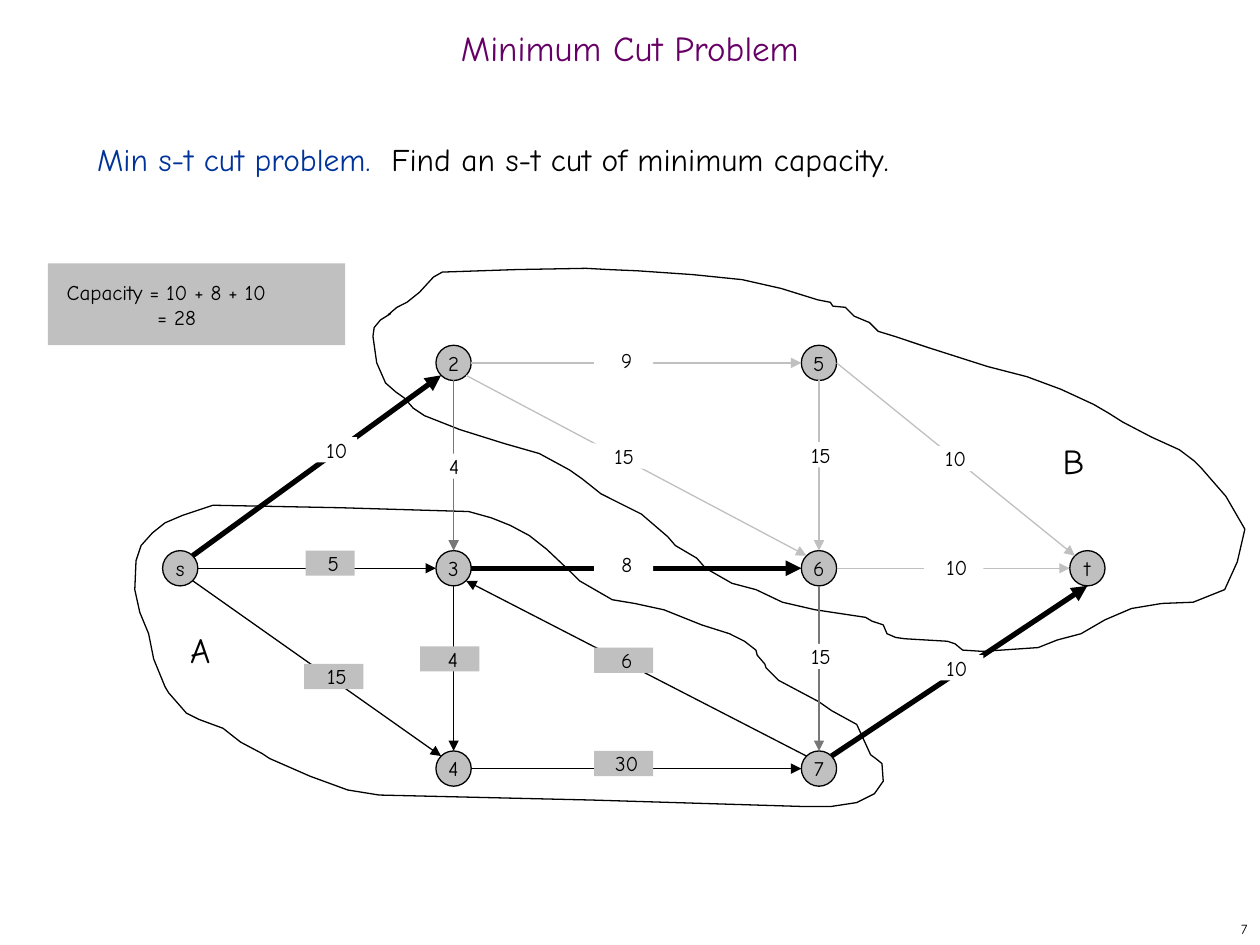
"""Build the minimum cut slide: a flow network split into the vertex sets A and B."""
from lxml.etree import SubElement
from pptx import Presentation
from pptx.dml.color import RGBColor
from pptx.enum.shapes import MSO_CONNECTOR, MSO_SHAPE
from pptx.enum.text import MSO_ANCHOR, MSO_AUTO_SIZE, PP_ALIGN
from pptx.oxml.ns import qn
from pptx.util import Inches, Pt

BLACK, GRAY, DARK_GRAY, WHITE = "000000", "C0C0C0", "777777", "FFFFFF"


def paint(shape, fill, line=None):
    shape.shadow.inherit = False
    shape.fill.solid()
    shape.fill.fore_color.rgb = RGBColor.from_string(fill)
    if line:
        shape.line.color.rgb = RGBColor.from_string(line)
        shape.line.width = Pt(0.75)
    else:
        shape.line.fill.background()


def write(shape, text, size, color=BLACK, align=PP_ALIGN.CENTER,
          anchor=MSO_ANCHOR.MIDDLE, margins=(0, 0, 0, 0), wrap=True):
    frame = shape.text_frame
    frame.word_wrap = wrap
    frame.auto_size = MSO_AUTO_SIZE.NONE
    frame.vertical_anchor = anchor
    (frame.margin_left, frame.margin_top,
     frame.margin_right, frame.margin_bottom) = [Inches(m) for m in margins]
    frame.text = text
    paragraph = frame.paragraphs[0]
    paragraph.alignment = align
    paragraph.space_before = Pt(0)
    paragraph.font.size = Pt(size)
    paragraph.font.name = "Comic Neue"
    paragraph.font.color.rgb = RGBColor.from_string(color)
    return paragraph


presentation = Presentation()
presentation.slide_width, presentation.slide_height = Inches(10), Inches(7.5)
slide = presentation.slides.add_slide(presentation.slide_layouts[1])
shapes = slide.shapes
text_margins = (0.1, 0.05, 0.1, 0.05)

title = shapes.title
title.left, title.top, title.width, title.height = [Inches(v) for v in (0, 0.17, 10, 0.5)]
write(title, "Minimum Cut Problem", 20, "660066", margins=text_margins).line_spacing = 0.7

body = slide.placeholders[1]
body.left, body.top, body.width, body.height = [Inches(v) for v in (0.67, 1, 8.58, 5.92)]
paragraph = write(body, "Min s-t cut problem.  ", 18, BLACK, PP_ALIGN.LEFT, MSO_ANCHOR.TOP, text_margins)
paragraph.line_spacing = Pt(26)
paragraph.runs[0].font.color.rgb = RGBColor.from_string("003399")
paragraph.add_run().text = "Find an s-t cut of minimum capacity."
properties = paragraph._p.get_or_add_pPr()
properties.set("marL", "0")
properties.set("indent", "0")
properties.insert_element_before(properties.makeelement(qn("a:buNone"), {}), "a:tabLst", "a:defRPr")

region_b = [
    (6.49, 2.38), (6.2, 2.29), (5.89, 2.22), (5.5, 2.18), (5.06, 2.15), (4.83, 2.14), (4.65, 2.13),
    (4.1, 2.14), (3.51, 2.16), (3.44, 2.2), (3.33, 2.32), (3.23, 2.4), (3.15, 2.44), (3.08, 2.5),
    (3.1, 2.49), (3.02, 2.54), (2.97, 2.6), (2.96, 2.67), (2.99, 2.88), (3.06, 3.04), (3.14, 3.11),
    (3.21, 3.16), (3.28, 3.24), (3.37, 3.3), (3.65, 3.41), (4, 3.52), (4.28, 3.6), (4.52, 3.73),
    (4.62, 3.8), (4.77, 3.92), (5.09, 4.08), (5.3, 4.26), (5.36, 4.33), (5.53, 4.43), (5.6, 4.51),
    (5.81, 4.63), (6, 4.68), (6.21, 4.78), (6.47, 4.84), (6.87, 4.9), (6.92, 4.93), (7.01, 4.96),
    (7.04, 5.03), (7.11, 5.06), (7.18, 5.07), (7.52, 5.09), (7.58, 5.11), (7.64, 5.16), (7.8, 5.17),
    (8.24, 5.14), (8.39, 5.08), (8.58, 5.03), (8.77, 4.92), (8.98, 4.83), (9.22, 4.79), (9.47, 4.78),
    (9.72, 4.68), (9.82, 4.46), (9.88, 4.2), (9.73, 3.94), (9.53, 3.71), (9.48, 3.66), (9.36, 3.57),
    (9.14, 3.47), (8.91, 3.35), (8.8, 3.28), (8.68, 3.21), (8.42, 3.09), (8.15, 2.99), (7.84, 2.91),
    (7.37, 2.76), (7.1, 2.67), (6.97, 2.63), (6.9, 2.56), (6.78, 2.51), (6.71, 2.44), (6.61, 2.43),
    (6.59, 2.4)]
region_a = [
    (6.08, 5.3), (6.18, 5.4), (6.5, 5.57), (6.6, 5.64), (6.8, 5.75), (6.91, 5.99), (6.95, 6.02),
    (7, 6.06), (7.01, 6.2), (6.94, 6.3), (6.8, 6.37), (6.6, 6.4), (6.35, 6.4), (4.7, 6.35), (3.01, 6.31),
    (2.76, 6.27), (2.46, 6.16), (2.14, 6.02), (2.08, 5.98), (1.91, 5.89), (1.77, 5.78), (1.58, 5.71),
    (1.48, 5.66), (1.34, 5.5), (1.31, 5.45), (1.22, 5.23), (1.18, 5.03), (1.11, 4.86), (1.07, 4.68),
    (1.08, 4.45), (1.12, 4.33), (1.21, 4.23), (1.31, 4.15), (1.45, 4.09), (1.69, 4.01), (2.7, 4.03),
    (3.72, 4.06), (3.9, 4.11), (4.05, 4.17), (4.2, 4.25), (4.34, 4.36), (4.53, 4.54), (4.6, 4.61),
    (4.86, 4.76), (5.04, 4.79), (5.27, 4.84), (5.57, 4.96), (5.79, 5.03), (5.91, 5.09), (6, 5.16),
    (6.01, 5.2), (6.07, 5.27)]
for outline in (region_b, region_a):
    corners = [(Inches(x), Inches(y)) for x, y in outline]
    builder = shapes.build_freeform(*corners[0], scale=1.0)
    builder.add_line_segments(corners[1:], close=True)
    paint(builder.convert_to_shape(), WHITE, BLACK)

columns, rows, radius = (1.43, 3.6, 6.5, 8.63), (2.88, 4.51, 6.1), 0.14
nodes = {"s": (0, 1), "2": (1, 0), "3": (1, 1), "4": (1, 2),
         "5": (2, 0), "6": (2, 1), "7": (2, 2), "t": (3, 1)}
for name, (column, row) in nodes.items():
    node = shapes.add_shape(MSO_SHAPE.OVAL, Inches(columns[column] - radius), Inches(rows[row] - radius),
                            Inches(2 * radius), Inches(2 * radius))
    paint(node, GRAY, BLACK)
    write(node, name, 12, margins=text_margins, wrap=False)

compass = {"N": (0, -1), "S": (0, 1), "E": (1, 0), "W": (-1, 0),
           "NE": (0.71, -0.71), "SE": (0.71, 0.71), "NW": (-0.71, -0.71), "SW": (-0.71, 0.71)}
edges = [
    ("s", "NE", "2", "SW", BLACK, 3), ("s", "E", "3", "W", BLACK, 0.75),
    ("s", "SE", "4", "NW", BLACK, 0.75), ("3", "E", "6", "W", BLACK, 3),
    ("7", "NW", "3", "SE", BLACK, 0.75), ("3", "S", "4", "N", BLACK, 0.75),
    ("2", "E", "5", "W", GRAY, 0.75), ("4", "E", "7", "W", BLACK, 0.75),
    ("2", "S", "3", "N", DARK_GRAY, 0.75), ("6", "S", "7", "N", DARK_GRAY, 0.75),
    ("5", "S", "6", "N", GRAY, 0.75), ("2", "SE", "6", "NW", GRAY, 0.75),
    ("5", "E", "t", "NW", GRAY, 0.75), ("6", "E", "t", "W", GRAY, 0.75),
    ("7", "NE", "t", "S", BLACK, 3)]
for start, start_side, end, end_side, color, width in edges:
    ends = []
    for name, side in ((start, start_side), (end, end_side)):
        column, row = nodes[name]
        ends += [Inches(columns[column] + radius * compass[side][0]),
                 Inches(rows[row] + radius * compass[side][1])]
    edge = shapes.add_connector(MSO_CONNECTOR.STRAIGHT, *ends)
    edge.line.color.rgb = RGBColor.from_string(color)
    edge.line.width = Pt(width)
    SubElement(edge.line._get_or_add_ln(), qn("a:tailEnd"), type="triangle")
    SubElement(edge._element.spPr, qn("a:effectLst"))

capacities = [
    ("15", 2.65, 5.37, GRAY, 0.47, 0.05), ("5", 2.62, 4.47, GRAY, 0.39, 0.05),
    ("30", 4.95, 6.06, GRAY, 0.47, 0.05), ("15", 6.49, 5.21, WHITE, 0.47, 0.05),
    ("10", 2.6, 3.57, WHITE, 0.47, 0.15), ("8", 4.95, 4.48, WHITE, 0.47, 0.05),
    ("15", 4.93, 3.62, WHITE, 0.47, 0.05), ("9", 4.95, 2.86, WHITE, 0.47, 0.05),
    ("6", 4.95, 5.24, GRAY, 0.47, 0.05), ("10", 7.57, 5.3, WHITE, 0.47, 0.05),
    ("10", 7.57, 4.5, WHITE, 0.47, 0.05), ("10", 7.51, 3.64, WHITE, 0.47, 0.15),
    ("15", 6.49, 3.61, WHITE, 0.47, 0.05), ("4", 3.58, 3.7, WHITE, 0.47, 0.05),
    ("4", 3.57, 5.23, GRAY, 0.47, 0.05)]
for text, x, y, fill, width, inset in capacities:
    label = shapes.add_shape(MSO_SHAPE.RECTANGLE, Inches(x - width / 2), Inches(y - 0.1),
                             Inches(width), Inches(0.2))
    paint(label, fill)
    write(label, text, 12, anchor=MSO_ANCHOR.TOP, margins=(inset, 0, 0, 0))

total = shapes.add_shape(MSO_SHAPE.RECTANGLE, Inches(0.38), Inches(2.09), Inches(2.36), Inches(0.65))
paint(total, GRAY)
paragraph = write(total, "", 12, align=PP_ALIGN.LEFT, margins=(0.15, 0.1, 0.1, 0.1))
properties = paragraph._p.get_or_add_pPr()
tabs = properties.makeelement(qn("a:tabLst"), {})
SubElement(tabs, qn("a:tab"), pos=str(Inches(0.72)), algn="l")
properties.insert_element_before(tabs, "a:defRPr")
paragraph.add_run().text = "Capacity = 10 + 8 + 10"
paragraph.add_line_break()
paragraph.add_run().text = "\t= 28"

for text, left, top in (("A", 1.22, 4.99), ("B", 8.15, 3.49)):
    region_name = shapes.add_textbox(Inches(left), Inches(top), Inches(0.47), Inches(0.33))
    write(region_name, text, 20, anchor=MSO_ANCHOR.TOP, margins=(0.27, 0, 0, 0))

page_number = shapes.add_textbox(Inches(7.92), Inches(7.25), Inches(2.08), Inches(0.25))
write(page_number, "7", 8, align=PP_ALIGN.RIGHT, margins=text_margins)

presentation.save("out.pptx")
